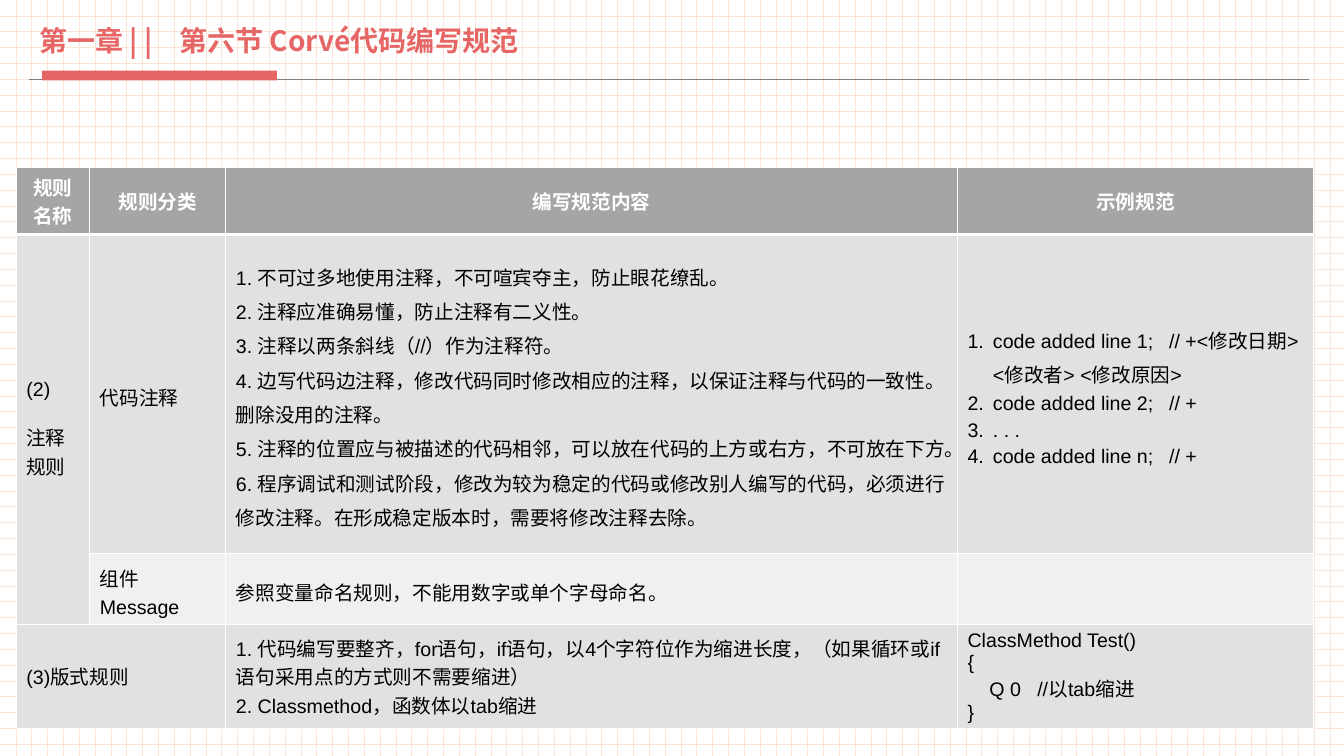
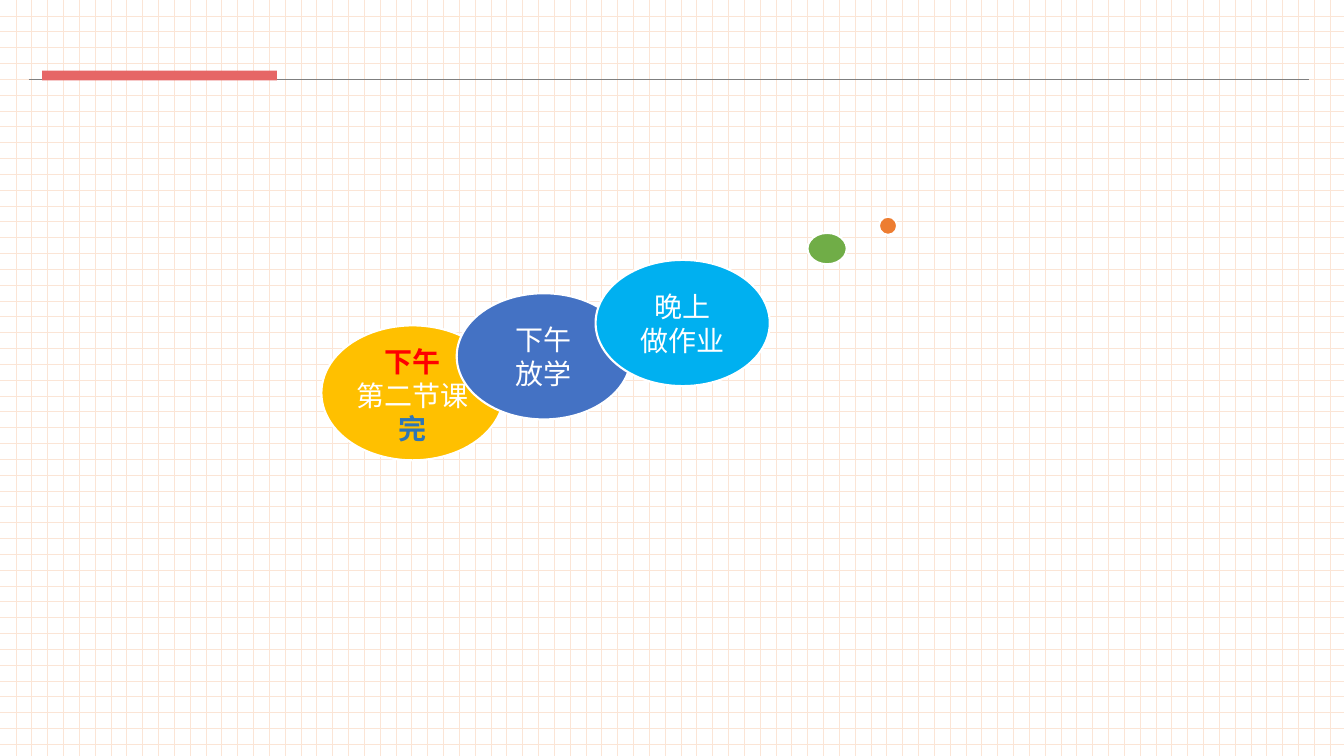
from lxml import etree
from pptx import Presentation
from pptx.dml.color import RGBColor
from pptx.enum.dml import MSO_PATTERN
from pptx.enum.shapes import MSO_CONNECTOR, MSO_SHAPE
from pptx.enum.text import MSO_ANCHOR, PP_ALIGN
from pptx.oxml.ns import qn
from pptx.util import Cm, Pt

RECTANGLE, ELLIPSE = MSO_SHAPE.RECTANGLE, MSO_SHAPE.OVAL
STRAIGHT = MSO_CONNECTOR.STRAIGHT
DOTTED_GRID = MSO_PATTERN.DOTTED_GRID
MIDDLE = MSO_ANCHOR.MIDDLE
LEFT, CENTER = PP_ALIGN.LEFT, PP_ALIGN.CENTER

WHITE = RGBColor(0xFF, 0xFF, 0xFF)
BLACK = RGBColor(0x00, 0x00, 0x00)
PEACH = RGBColor(0xFB, 0xE5, 0xD6)
CORAL = RGBColor(0xE6, 0x66, 0x66)
RULE_GRAY = RGBColor(0x7F, 0x7F, 0x7F)
HEADER_GRAY = RGBColor(0xA5, 0xA5, 0xA5)
DARK_BAND = RGBColor(0xE1, 0xE1, 0xE1)
LIGHT_BAND = RGBColor(0xF0, 0xF0, 0xF0)
AMBER = RGBColor(0xFF, 0xC0, 0x00)
BLUE = RGBColor(0x44, 0x72, 0xC4)
SKY = RGBColor(0x00, 0xB0, 0xF0)
GREEN = RGBColor(0x70, 0xAD, 0x47)
ORANGE = RGBColor(0xED, 0x7D, 0x31)
RED = RGBColor(0xFF, 0x00, 0x00)
DEEP_BLUE = RGBColor(0x2E, 0x75, 0xB6)

LATIN_FONT = "Arial"
CHINESE_FONT = "Noto Sans CJK SC"

TITLE = {"name": CHINESE_FONT, "size": Pt(20), "bold": True, "color": CORAL}
HEADER = {"name": LATIN_FONT, "size": Pt(14), "bold": True, "color": WHITE}
BODY = {**HEADER, "bold": False, "color": BLACK}
BUBBLE = {"name": LATIN_FONT, "size": Pt(20), "bold": False, "color": WHITE}

COLUMN_WIDTHS = (1.85, 3.43, 18.44, 8.97)
ROW_HEIGHTS = (1.69, 8.03, 1.79, 2.6)
ROW_FILLS = (HEADER_GRAY, DARK_BAND, LIGHT_BAND, DARK_BAND)
HEADINGS = ("规则名称", "规则分类", "编写规范内容", "示例规范")
COMMENT_RULES = (
    "1. 不可过多地使用注释，不可喧宾夺主，防止眼花缭乱。",
    "2. 注释应准确易懂，防止注释有二义性。",
    "3. 注释以两条斜线（//）作为注释符。",
    "4. 边写代码边注释，修改代码同时修改相应的注释，以保证注释与代码的一致性。删除没用的注释。",
    "5. 注释的位置应与被描述的代码相邻，可以放在代码的上方或右方，不可放在下方。",
    "6. 程序调试和测试阶段，修改为较为稳定的代码或修改别人编写的代码，必须进行修改注释。"
    "在形成稳定版本时，需要将修改注释去除。",
)
COMMENT_EXAMPLES = (
    "code added line 1;\t// +<修改日期> <修改者> <修改原因>",
    "code added line 2;\t// +",
    ". . .",
    "code added line n;\t// +",
)
LAYOUT_RULES = (
    "1. 代码编写要整齐，for语句，if语句，以4个字符位作为缩进长度，"
    "（如果循环或if语句采用点的方式则不需要缩进）",
    "2. Classmethod，函数体以tab缩进",
)
LAYOUT_EXAMPLE = ("ClassMethod Test()", "{", "    Q 0   //以tab缩进", "}")


class Deck:
    """Holds the shared style and the slide being built."""

    def __init__(self):
        self.presentation = Presentation()
        self.presentation.slide_width = Cm(33.87)
        self.presentation.slide_height = Cm(19.05)
        self.slide = None

    def add_slide(self):
        """Start a slide with the grid background, rule and accent bar."""
        self.slide = self.presentation.slides.add_slide(self.presentation.slide_layouts[6])
        background = self.slide.background.fill
        background.patterned()
        background.pattern = DOTTED_GRID
        background.fore_color.rgb = PEACH
        background.back_color.rgb = WHITE

        rule = self.slide.shapes.add_connector(STRAIGHT, Cm(0.72), Cm(1.99), Cm(33), Cm(1.99))
        rule.line.color.rgb = RULE_GRAY
        rule.line.width = Pt(0.5)
        etree.SubElement(rule.element.spPr, qn("a:effectLst"))
        self.add_shape(RECTANGLE, (1.06, 1.78, 5.92, 0.25), CORAL)

    def add_shape(self, kind, box, fill, outline=None):
        shape = self.slide.shapes.add_shape(kind, *map(Cm, box))
        shape.shadow.inherit = False
        shape.fill.solid()
        shape.fill.fore_color.rgb = fill
        if outline is None:
            shape.line.fill.background()
        else:
            shape.line.color.rgb = outline
            shape.line.width = Pt(1.5)
        return shape

    def add_bubble(self, box, fill, lines=()):
        shape = self.add_shape(ELLIPSE, box, fill, WHITE)
        shape.text_frame.vertical_anchor = MIDDLE
        self.fill_text(shape.text_frame, lines, BUBBLE, alignment=CENTER)

    def add_text(self, box, lines, text_format, **layout):
        shape = self.slide.shapes.add_textbox(*map(Cm, box))
        shape.text_frame.word_wrap = True
        return self.fill_text(shape.text_frame, lines, text_format, **layout)

    def add_title(self, chapter, section):
        paragraph = self.add_text((0.74, 0.56, 25.93, 1.47), [f"{chapter}\t{section}"],
                                  TITLE, line_spacing=0.9)[0]
        tab_list = etree.SubElement(paragraph._p.get_or_add_pPr(), qn("a:tabLst"))
        etree.SubElement(tab_list, qn("a:tab"), pos=str(Cm(3.53)), algn="l")

    def add_table(self, left, top, widths, heights, fills):
        frame = self.slide.shapes.add_table(
            len(heights), len(widths), Cm(left), Cm(top), Cm(sum(widths)), Cm(sum(heights)))
        table = frame.table
        for column, width in zip(table.columns, widths):
            column.width = Cm(width)
        for index, (row, height) in enumerate(zip(table.rows, heights)):
            row.height = Cm(height)
            for cell in row.cells:
                self.set_borders(cell, {"L": 1, "R": 1, "T": 3 if index == 1 else 1,
                                        "B": 3 if index == 0 else 1})
                cell.fill.solid()
                cell.fill.fore_color.rgb = fills[index]
                cell.vertical_anchor = MIDDLE
        return table

    @staticmethod
    def set_borders(cell, widths):
        properties = cell._tc.get_or_add_tcPr()
        for side, width in widths.items():
            line = etree.SubElement(properties, qn(f"a:ln{side}"), w=str(Pt(width)))
            fill = etree.SubElement(line, qn("a:solidFill"))
            etree.SubElement(fill, qn("a:srgbClr"), val=str(WHITE))

    @staticmethod
    def fill_text(frame, lines, text_format, **layout):
        """Add one paragraph a line; a line is a string or (string, format changes)."""
        paragraphs = []
        for index, line in enumerate(lines):
            text, changes = (line, {}) if isinstance(line, str) else line
            paragraph = frame.add_paragraph() if index else frame.paragraphs[0]
            for name, value in {"alignment": LEFT, **layout}.items():
                setattr(paragraph, name, value)
            run = paragraph.add_run()
            run.text = text
            for name, value in {**text_format, **changes}.items():
                if name == "color":
                    run.font.color.rgb = value
                else:
                    setattr(run.font, name, value)
            etree.SubElement(run._r.get_or_add_rPr(), qn("a:ea"), typeface=CHINESE_FONT)
            paragraphs.append(paragraph)
        return paragraphs

    @staticmethod
    def number(paragraphs):
        for paragraph in paragraphs:
            properties = paragraph._p.get_or_add_pPr()
            properties.set("marL", str(Cm(0.64)))
            properties.set("indent", str(Cm(-0.64)))
            etree.SubElement(properties, qn("a:buAutoNum"), type="arabicPeriod")


def build_rules_slide(deck):
    deck.add_slide()
    deck.add_title("第一章 | |", "第六节 Corvé代码编写规范")
    table = deck.add_table(0.41, 4.22, COLUMN_WIDTHS, ROW_HEIGHTS, ROW_FILLS)
    table.cell(1, 0).merge(table.cell(2, 0))
    table.cell(3, 0).merge(table.cell(3, 1))

    for column, heading in enumerate(HEADINGS):
        deck.fill_text(table.cell(0, column).text_frame, [heading], HEADER, alignment=CENTER)

    cells = {
        (1, 0): (("(2)", "注释规则"), 1),
        (1, 1): (("代码注释",), 1.2),
        (1, 2): (COMMENT_RULES, 1.2),
        (1, 3): (COMMENT_EXAMPLES, 1.2),
        (2, 1): (("组件Message",), 1.2),
        (2, 2): (("参照变量命名规则，不能用数字或单个字母命名。",), 1.2),
        (3, 0): (("(3)版式规则",), 1),
        (3, 2): (LAYOUT_RULES, 1),
        (3, 3): (LAYOUT_EXAMPLE, 1),
    }
    for position, (lines, spacing) in cells.items():
        deck.fill_text(table.cell(*position).text_frame, lines, BODY, line_spacing=spacing)
    table.cell(1, 0).text_frame.paragraphs[1].space_before = Pt(16)
    deck.number(table.cell(1, 3).text_frame.paragraphs)


def build_schedule_slide(deck):
    deck.add_slide()
    deck.add_bubble((8.1, 8.2, 4.6, 3.4), AMBER)
    deck.add_bubble((11.51, 7.39, 4.39, 3.18), BLUE, ("下午", "放学"))
    deck.add_bubble((20.35, 5.87, 0.99, 0.79), GREEN)
    deck.add_bubble((22.15, 5.46, 0.46, 0.46), ORANGE)
    deck.add_text((8.61, 8.56, 3.58, 2.82),
                  (("下午", {"bold": True, "color": RED}), "第二节课",
                   ("完", {"bold": True, "color": DEEP_BLUE})),
                  BUBBLE, alignment=CENTER)
    deck.add_bubble((15.01, 6.55, 4.39, 3.18), SKY, ("晚上", "做作业"))


def main():
    deck = Deck()
    build_rules_slide(deck)
    build_schedule_slide(deck)
    deck.presentation.save("out.pptx")


if __name__ == "__main__":
    main()
